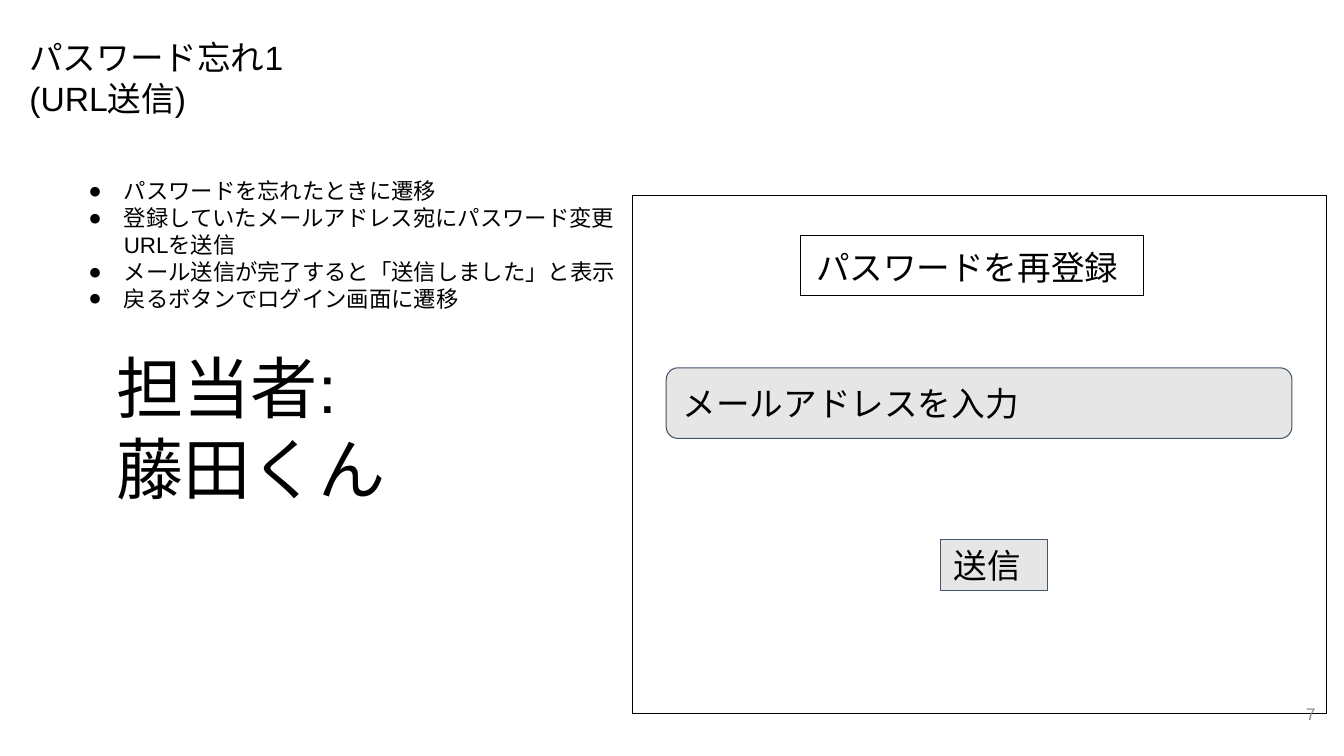
"""Build the password-reset screen specification slide."""
from dataclasses import dataclass
from typing import Any, Optional

import lxml.etree
import pptx
import pptx.dml.color
import pptx.enum.shapes
import pptx.enum.text
import pptx.oxml.ns
import pptx.util

Cm = pptx.util.Cm
Shape = pptx.enum.shapes.MSO_SHAPE
Align = pptx.enum.text.PP_ALIGN
Anchor = pptx.enum.text.MSO_ANCHOR

BLACK = pptx.dml.color.RGBColor(0x00, 0x00, 0x00)
WHITE = pptx.dml.color.RGBColor(0xFF, 0xFF, 0xFF)
FIELD_GRAY = pptx.dml.color.RGBColor(0xE7, 0xE6, 0xE6)
SLATE = pptx.dml.color.RGBColor(0x44, 0x54, 0x6A)
PAGE_GRAY = pptx.dml.color.RGBColor(0x88, 0x88, 0x88)
FONT = "Arial"


@dataclass(frozen=True)
class Box:
    """Position and size in centimetres."""
    left: float
    top: float
    width: float
    height: float

    def lengths(self) -> list:
        """Return the four values as slide lengths."""
        return [Cm(n) for n in (self.left, self.top, self.width, self.height)]


@dataclass(frozen=True)
class ScreenPart:
    """One outlined part of the mocked-up screen."""
    box: Box
    kind: Any = Shape.RECTANGLE
    fill: Optional[pptx.dml.color.RGBColor] = None
    line: pptx.dml.color.RGBColor = BLACK
    label: str = ""


SCREEN_PARTS = [
    ScreenPart(Box(15.95, 4.93, 17.48, 13.06), fill=WHITE),
    ScreenPart(Box(16.79, 9.27, 15.77, 1.78), Shape.ROUNDED_RECTANGLE,
               FIELD_GRAY, SLATE, "メールアドレスを入力"),
    ScreenPart(Box(23.7, 13.59, 2.69, 1.3), fill=FIELD_GRAY, line=SLATE, label="送信"),
    ScreenPart(Box(20.17, 5.94, 8.66, 1.52)),
]
BEHAVIOURS = [
    "パスワードを忘れたときに遷移",
    "登録していたメールアドレス宛にパスワード変更URLを送信",
    "メール送信が完了すると「送信しました」と表示",
    "戻るボタンでログイン画面に遷移",
]


def add_bullet(paragraph: Any) -> None:
    """Give a paragraph a round black bullet with a hanging indent."""
    properties = paragraph._p.get_or_add_pPr()
    properties.set("marL", str(Cm(1.27)))
    properties.set("indent", str(Cm(-0.89)))
    qn = pptx.oxml.ns.qn
    colour = lxml.etree.SubElement(properties, qn("a:buClr"))
    lxml.etree.SubElement(colour, qn("a:srgbClr"), val=str(BLACK))
    lxml.etree.SubElement(properties, qn("a:buFont"), typeface=FONT)
    lxml.etree.SubElement(properties, qn("a:buChar"), char="●")


def write_text(holder: Any, lines: list, *, size: float = 24, colour=BLACK,
               align=Align.LEFT, anchor=Anchor.TOP, inset: float = 0.33,
               inset_y: Optional[float] = None, bulleted: bool = False) -> None:
    """Write one paragraph per line with the given format."""
    frame = holder.text_frame
    frame.word_wrap = True
    frame.auto_size = pptx.enum.text.MSO_AUTO_SIZE.NONE
    frame.vertical_anchor = anchor
    frame.margin_left = frame.margin_right = Cm(inset)
    frame.margin_top = frame.margin_bottom = Cm(inset if inset_y is None else inset_y)
    frame.text = "\n".join(lines)
    for paragraph in frame.paragraphs:
        paragraph.alignment = align
        paragraph.line_spacing = 1.0
        paragraph.space_before = paragraph.space_after = pptx.util.Pt(0)
        if bulleted:
            add_bullet(paragraph)
        for run in paragraph.runs:
            run.font.name = FONT
            run.font.size = pptx.util.Pt(size)
            run.font.color.rgb = colour


def place(holder: Any, box: Box) -> Any:
    """Move a placeholder to a box and return it."""
    holder.left, holder.top, holder.width, holder.height = box.lengths()
    return holder


def draw_part(shapes: Any, part: ScreenPart) -> None:
    """Draw one part of the mocked-up screen."""
    shape = shapes.add_shape(part.kind, *part.box.lengths())
    shape.shadow.inherit = False
    if part.fill is None:
        shape.fill.background()
    else:
        shape.fill.solid()
        shape.fill.fore_color.rgb = part.fill
    shape.line.color.rgb = part.line
    shape.line.width = pptx.util.Pt(0.75)
    if part.label:
        write_text(shape, [part.label], anchor=Anchor.MIDDLE)


def main() -> None:
    """Build and save the slide."""
    deck = pptx.Presentation()
    deck.slide_width, deck.slide_height = Cm(33.87), Cm(19.05)
    slide = deck.slides.add_slide(deck.slide_layouts[1])

    title = place(slide.shapes.title, Box(0.41, 0.61, 9.07, 2.74))
    write_text(title, ["パスワード忘れ1", "(URL送信)"])
    behaviours = place(slide.placeholders[1], Box(1.6, 4.22, 14.35, 3.94))
    write_text(behaviours, BEHAVIOURS, size=16, inset=0.25, bulleted=True)

    screen = slide.shapes.add_group_shape().shapes
    for part in SCREEN_PARTS:
        draw_part(screen, part)
    heading = screen.add_textbox(*Box(17.02, 5.89, 14.71, 1.7).lengths())
    write_text(heading, ["パスワードを再登録"], align=Align.CENTER)

    page_number = slide.shapes.add_textbox(*Box(31.37, 17.27, 2.03, 1.45).lengths())
    write_text(page_number, ["7"], size=12, colour=PAGE_GRAY, align=Align.RIGHT,
               anchor=Anchor.MIDDLE, inset=0.25)
    assignee = slide.shapes.add_textbox(*Box(2.69, 8.61, 8.48, 4.37).lengths())
    write_text(assignee, ["担当者:", "藤田くん"], size=48, inset=0.25, inset_y=0.13)

    deck.save("out.pptx")


main()
